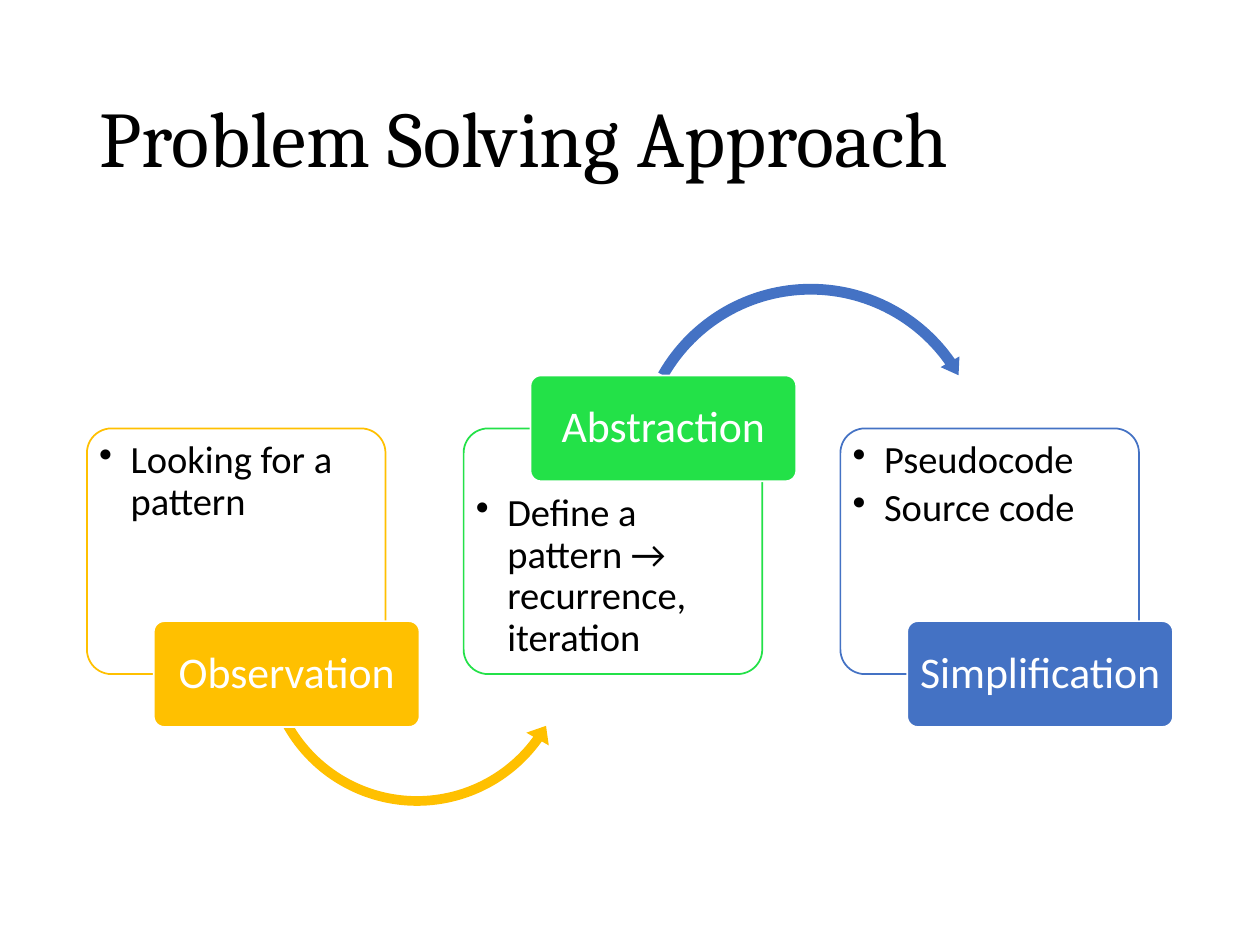
import dataclasses

import pptx
import pptx.dml.color
import pptx.enum.shapes
import pptx.enum.text
import pptx.oxml
import pptx.util
from lxml import etree

Inches = pptx.util.Inches
Pt = pptx.util.Pt
Shape = pptx.enum.shapes.MSO_SHAPE
Align = pptx.enum.text.PP_ALIGN
Anchor = pptx.enum.text.MSO_ANCHOR


@dataclasses.dataclass(frozen=True)
class Theme:
    black: str = "000000"
    white: str = "FFFFFF"
    gold: str = "FFC000"
    green: str = "23E148"
    blue: str = "4472C4"
    heading_font: str = "Cambria"
    body_font: str = "Calibri"
    title_size: float = 45
    label_size: float = 25
    list_size: float = 22
    line_spacing: float = 0.9
    bullet_gap: float = 3.6
    outline: float = 1


@dataclasses.dataclass(frozen=True)
class Arrow:
    kind: int
    left: float
    top: float
    size: float
    adjustments: tuple


@dataclasses.dataclass(frozen=True)
class Step:
    label: str
    points: tuple
    color: str
    label_on_top: bool = False
    arrow: Arrow | None = None


THEME = Theme()

# Geometry shared by the steps, in inches
FIRST_LEFT, STEP_PITCH = 0.69, 2.99
CARD_TOP, CARD_WIDTH, CARD_HEIGHT = 3.4, 2.37, 1.95
LABEL_OFFSET, LABEL_WIDTH, LABEL_HEIGHT = 0.53, 2.11, 0.84
CORNER = 0.1

STEPS = (
    Step("Observation", ("Looking for a pattern",), THEME.gold,
         arrow=Arrow(Shape.LEFT_CIRCULAR_ARROW, 2.03, 3.9, 2.56,
                     (0.03, 3.63, 21.38, 90.25, 0.04))),
    Step("Abstraction", ("Define a pattern → recurrence, iteration",),
         THEME.green, label_on_top=True),
    Step("Simplification", ("Pseudocode", "Source code"), THEME.blue),
)
SECOND_ARROW = Arrow(Shape.CIRCULAR_ARROW, 5, 2.21, 2.87,
                     (0.03, 3.22, 195.02, 125.76, 0.03))


def rgb(color):
    return pptx.dml.color.RGBColor.from_string(color)


def format_text(frame, font, size, color, align):
    frame.word_wrap = True
    for para in frame.paragraphs:
        para.alignment = align
        para.line_spacing = THEME.line_spacing
        for span in para.runs:
            span.font.name = font
            span.font.size = Pt(size)
            span.font.color.rgb = rgb(color)


def set_insets(frame, side, top, bottom):
    frame.margin_left = frame.margin_right = Inches(side)
    frame.margin_top = Inches(top)
    frame.margin_bottom = Inches(bottom)


def add_bullet(para):
    properties = para._p.get_or_add_pPr()
    properties.set("marL", str(Inches(0.25)))
    properties.set("indent", str(Inches(-0.25)))
    bullet = etree.SubElement(properties, pptx.oxml.ns.qn("a:buChar"))
    bullet.set("char", "•")


def add_filled_shape(page, kind, place, fill, line=None):
    shape = page.shapes.add_shape(kind, *(Inches(value) for value in place))
    shape.shadow.inherit = False
    shape.fill.solid()
    shape.fill.fore_color.rgb = rgb(fill)
    if line:
        shape.line.color.rgb = rgb(line)
        shape.line.width = Pt(THEME.outline)
    else:
        shape.line.fill.background()
    return shape


def add_title(page, text):
    title = page.shapes.title
    title.left, title.top = Inches(0.69), Inches(0.4)
    title.width, title.height = Inches(8.62), Inches(1.45)
    frame = title.text_frame
    frame.text = text
    frame.auto_size = pptx.enum.text.MSO_AUTO_SIZE.NONE
    frame.vertical_anchor = Anchor.MIDDLE
    format_text(frame, THEME.heading_font, THEME.title_size, THEME.black,
                Align.LEFT)


def add_card(page, step, left):
    card = add_filled_shape(page, Shape.ROUNDED_RECTANGLE,
                            (left, CARD_TOP, CARD_WIDTH, CARD_HEIGHT),
                            THEME.white, step.color)
    card.adjustments[0] = CORNER
    frame = card.text_frame
    frame.text = "\n".join(step.points)
    frame.vertical_anchor = Anchor.TOP
    # A label on the top edge pushes the list down by half its height
    set_insets(frame, 0.04, 0.04 + step.label_on_top * LABEL_HEIGHT / 2, 0)
    format_text(frame, THEME.body_font, THEME.list_size, THEME.black,
                Align.LEFT)
    for para in frame.paragraphs:
        para.space_after = Pt(THEME.bullet_gap)
        add_bullet(para)


def add_label(page, step, left):
    edge = CARD_TOP if step.label_on_top else CARD_TOP + CARD_HEIGHT
    label = add_filled_shape(page, Shape.ROUNDED_RECTANGLE,
                             (left + LABEL_OFFSET, edge - LABEL_HEIGHT / 2,
                              LABEL_WIDTH, LABEL_HEIGHT),
                             step.color, THEME.white)
    label.adjustments[0] = CORNER
    frame = label.text_frame
    frame.text = step.label
    frame.vertical_anchor = Anchor.MIDDLE
    set_insets(frame, 0.05, 0.03, 0.03)
    format_text(frame, THEME.body_font, THEME.label_size, THEME.white,
                Align.CENTER)


def add_arrow(page, arrow, color):
    shape = add_filled_shape(page, arrow.kind,
                             (arrow.left, arrow.top, arrow.size, arrow.size),
                             color)
    for index, value in enumerate(arrow.adjustments):
        shape.adjustments[index] = value


def main():
    deck = pptx.Presentation()
    deck.slide_width, deck.slide_height = Inches(10), Inches(7.5)
    page = deck.slides.add_slide(deck.slide_layouts.get_by_name("Title Only"))
    add_title(page, "Problem Solving Approach")

    # Cards at the back, then arrows, then labels
    lefts = [FIRST_LEFT + index * STEP_PITCH for index in range(len(STEPS))]
    for step, left in zip(STEPS, lefts):
        add_card(page, step, left)
    add_arrow(page, STEPS[0].arrow, THEME.gold)
    add_arrow(page, SECOND_ARROW, THEME.blue)
    for step, left in zip(STEPS, lefts):
        add_label(page, step, left)

    deck.save("out.pptx")


if __name__ == "__main__":
    main()
